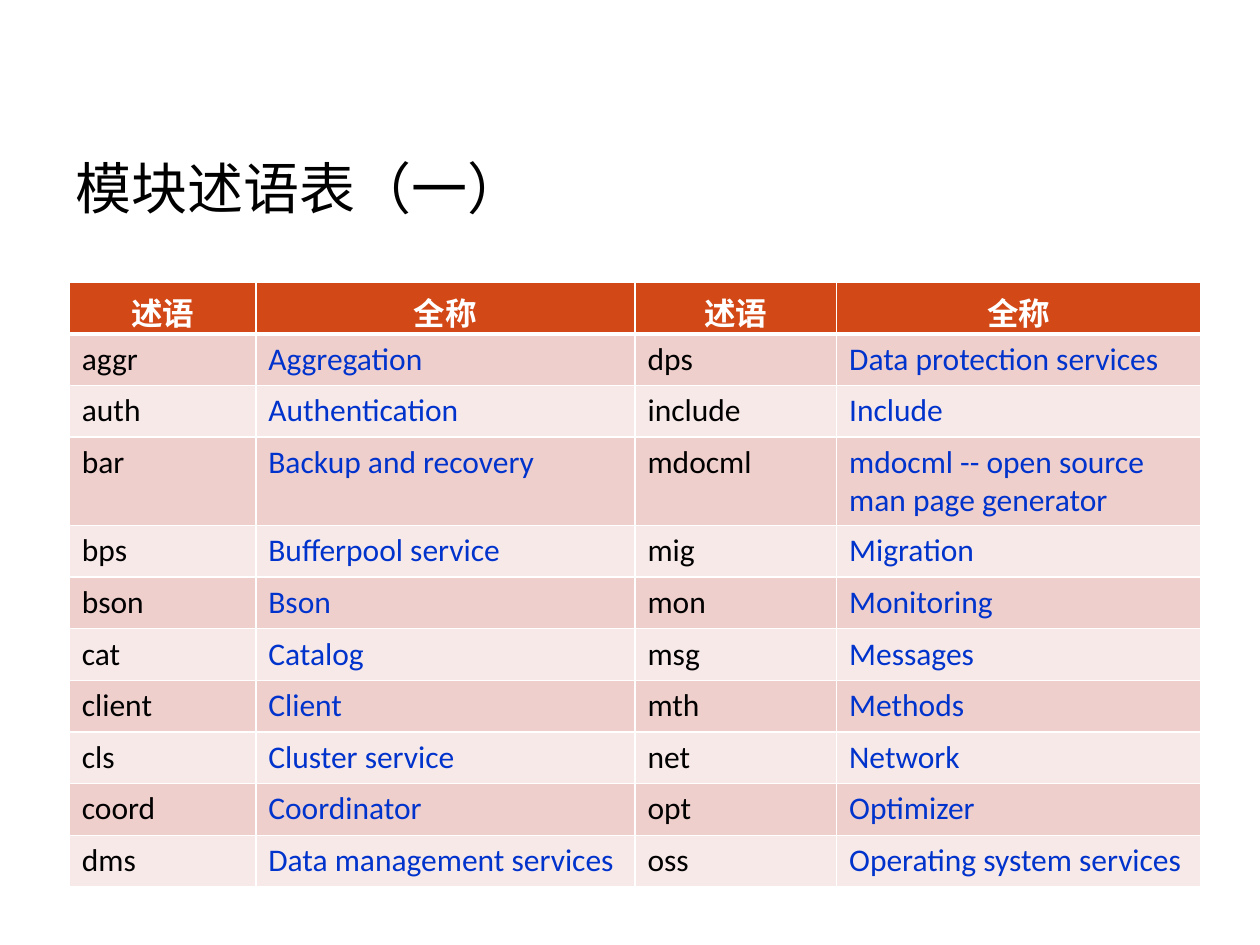
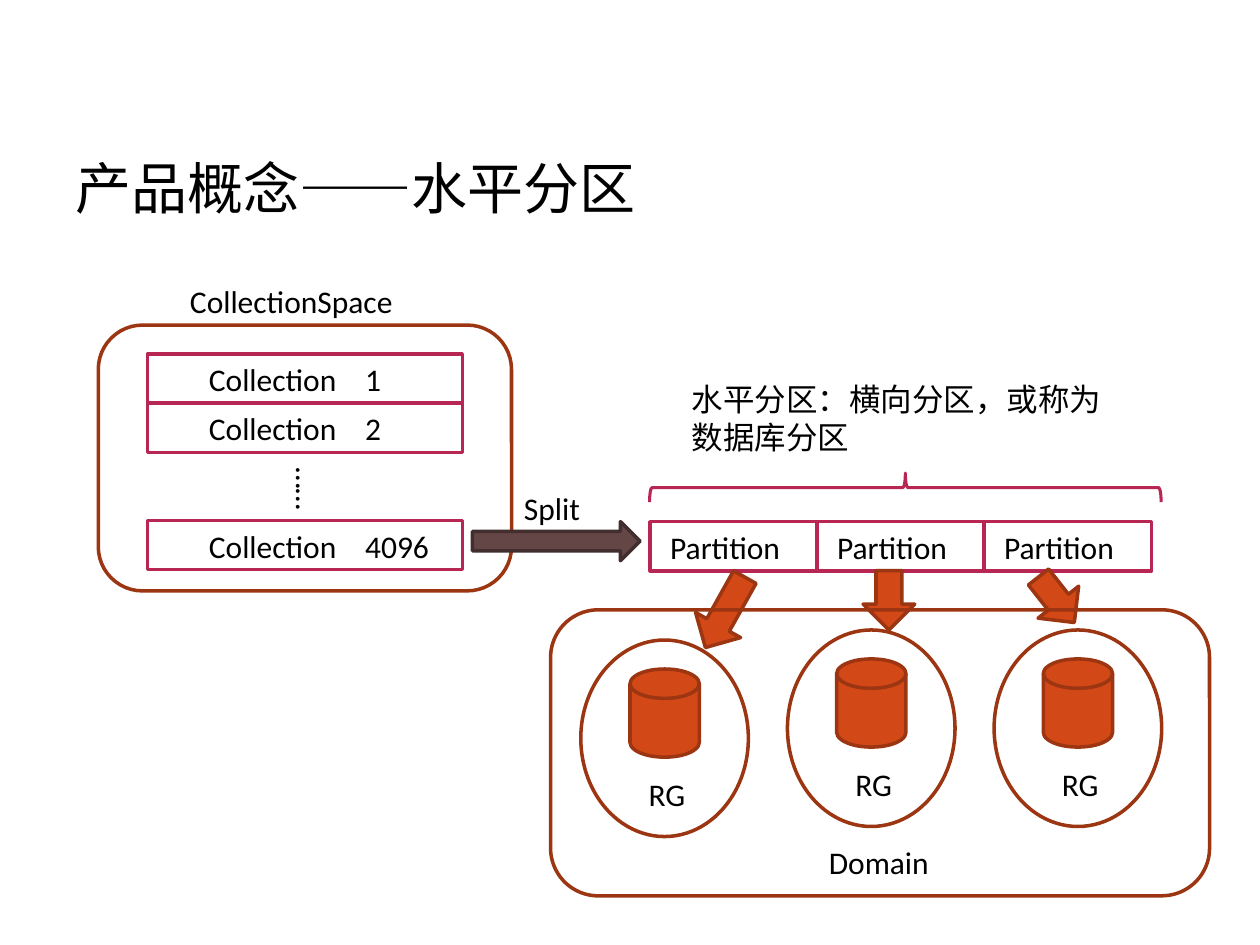
from pptx import Presentation
from pptx.dml.color import RGBColor
from pptx.enum.shapes import MSO_SHAPE as Preset
from pptx.enum.text import MSO_ANCHOR as Anchor, MSO_AUTO_SIZE as AutoSize, PP_ALIGN as Align
from pptx.oxml import parse_xml
from pptx.oxml.ns import nsdecls
from pptx.util import Inches, Pt

COLORS = {
    "black": "000000", "white": "FFFFFF", "blue": "0033CC",
    "orange": "D34817", "rust": "9C3511", "magenta": "B82653",
    "brown": "644646", "dark_brown": "422E2E",
    "band_dark": "EFCFCC", "band_light": "F7E9E8",
}
TITLE_FONT, BODY_FONT = "Roboto", "Calibri"
COLUMN_WIDTHS = [1.48, 3.01, 1.6, 2.89]
ROW_HEIGHT = 0.41
LABEL_HEIGHT = 0.4
CELL_HEIGHT = 0.39
TERMS = [
    ("述语", "全称", "述语", "全称"),
    ("aggr", "Aggregation", "dps", "Data protection services"),
    ("auth", "Authentication", "include", "Include"),
    ("bar", "Backup and recovery", "mdocml", "mdocml -- open source man page generator"),
    ("bps", "Bufferpool service", "mig", "Migration"),
    ("bson", "Bson", "mon", "Monitoring"),
    ("cat", "Catalog", "msg", "Messages"),
    ("client", "Client", "mth", "Methods"),
    ("cls", "Cluster service", "net", "Network"),
    ("coord", "Coordinator", "opt", "Optimizer"),
    ("dms", "Data management services", "oss", "Operating system services"),
]


def color(name):
    """Return the named colour."""
    return RGBColor.from_string(COLORS[name])


def add_span(para, text, size=18, font=BODY_FONT, ink="black", bold=False):
    """Add one styled run to a paragraph."""
    span = para.add_run()
    span.text = text
    span.font.name = font
    span.font.size = Pt(size)
    span.font.bold = bold
    span.font.color.rgb = color(ink)


def add_title(page, text):
    """Add the slide title."""
    box = page.shapes.add_textbox(Inches(0.5), Inches(0.86), Inches(9), Inches(1.25))
    box.text_frame.word_wrap = True
    box.text_frame.vertical_anchor = Anchor.MIDDLE
    add_span(box.text_frame.paragraphs[0], text, 32, TITLE_FONT)


def add_label(shapes, lines, left, top, width, height=LABEL_HEIGHT):
    """Add a text box with one paragraph per line."""
    box = shapes.add_textbox(Inches(left), Inches(top), Inches(width), Inches(height))
    frame = box.text_frame
    frame.word_wrap = False
    frame.auto_size = AutoSize.SHAPE_TO_FIT_TEXT
    for index, line in enumerate(lines):
        para = frame.add_paragraph() if index else frame.paragraphs[0]
        add_span(para, line)
    return box


def add_figure(shapes, preset, left, top, width, height, line, fill=None, turn=0, weight=2):
    """Add an outlined preset shape, filled when a fill is named."""
    figure = shapes.add_shape(preset, Inches(left), Inches(top), Inches(width), Inches(height))
    figure.shadow.inherit = False
    figure.rotation = turn
    figure.line.color.rgb = color(line)
    figure.line.width = Pt(weight)
    if fill:
        figure.fill.solid()
        figure.fill.fore_color.rgb = color(fill)
    else:
        figure.fill.background()


def add_collection(page, number, top):
    """Add a collection row whose number stands at a tab stop."""
    shapes = page.shapes.add_group_shape().shapes
    add_figure(shapes, Preset.RECTANGLE, 1.17, top, 2.5, CELL_HEIGHT, "magenta")
    box = add_label(shapes, [], 1.56, top, 1.97)
    box.text_frame.word_wrap = True
    para = box.text_frame.paragraphs[0]
    stops = f'<a:tabLst {nsdecls("a")}><a:tab pos="{Inches(1.24)}" algn="l"/></a:tabLst>'
    para._p.get_or_add_pPr().append(parse_xml(stops))
    add_span(para, f"Collection\t{number}")


def add_partition(page, left):
    """Add one partition cell."""
    shapes = page.shapes.add_group_shape().shapes
    add_figure(shapes, Preset.RECTANGLE, left, 4.14, 1.33, CELL_HEIGHT, "magenta")
    add_label(shapes, ["Partition"], left + 0.06, 4.14, 1.09)


def add_replica_group(page, left, top):
    """Add an RG ellipse holding a disk and its label."""
    shapes = page.shapes.add_group_shape().shapes
    add_figure(shapes, Preset.FLOWCHART_MAGNETIC_DISK, left + 0.39, top + 0.23, 0.55, 0.7,
               "rust", "orange")
    add_figure(shapes, Preset.OVAL, left, top, 1.33, 1.56, "rust")
    add_label(shapes, ["RG"], left + 0.44, top + 1.02, 0.5)


def add_cell_borders(cell, row):
    """Draw white borders, thicker under the header row."""
    weights = {"L": 1, "R": 1, "T": 3 if row == 1 else 1, "B": 3 if row == 0 else 1}
    for side, weight in weights.items():
        cell._tc.get_or_add_tcPr().append(parse_xml(
            f'<a:ln{side} {nsdecls("a")} w="{Pt(weight)}"><a:solidFill>'
            f'<a:srgbClr val="{COLORS["white"]}"/></a:solidFill></a:ln{side}>'))


def add_term_table(page):
    """Add the banded table of module terms."""
    table = page.shapes.add_table(
        len(TERMS), len(COLUMN_WIDTHS), Inches(0.55), Inches(2.24),
        Inches(sum(COLUMN_WIDTHS)), Inches(ROW_HEIGHT * len(TERMS))).table
    for column, width in zip(table.columns, COLUMN_WIDTHS):
        column.width = Inches(width)
    for row, terms in enumerate(TERMS):
        table.rows[row].height = Inches(ROW_HEIGHT)
        header = row == 0
        band = "orange" if header else ("band_light", "band_dark")[row % 2]
        for column, term in enumerate(terms):
            cell = table.cell(row, column)
            add_cell_borders(cell, row)
            cell.fill.solid()
            cell.fill.fore_color.rgb = color(band)
            para = cell.text_frame.paragraphs[0]
            para.alignment = Align.CENTER if header else Align.LEFT
            ink = "white" if header else ("black", "blue")[column % 2]
            add_span(para, term, ink=ink, bold=header)


def add_partition_diagram(page):
    """Add the diagram that splits a collection over replica groups."""
    shapes = page.shapes
    add_figure(shapes, Preset.ROUNDED_RECTANGLE, 0.78, 2.58, 3.28, 2.11, "rust")
    add_label(shapes, ["CollectionSpace"], 1.41, 2.19, 1.83)
    for number, top in ((1, 2.81), (2, 3.2), (4096, 4.13)):
        add_collection(page, number, top)
    dots = add_label(shapes, ["……"], 2.15, 3.61, 0.5, 0.45)
    dots.element.txBody.bodyPr.set("vert", "eaVert")

    for index in range(3):
        add_partition(page, 5.16 + 1.325 * index)
    for index, top in enumerate((5.08, 5, 5)):
        add_replica_group(page, 4.61 + 1.64 * index, top)
    for left, top, height, turn in ((5.55, 4.54, 0.64, 29.2), (6.85, 4.53, 0.47, 0),
                                    (8.18, 4.53, 0.46, 321.8)):
        add_figure(shapes, Preset.DOWN_ARROW, left, top, 0.41, height, "rust", "orange", turn)
    add_figure(shapes, Preset.ROUNDED_RECTANGLE, 4.37, 4.84, 5.23, 2.27, "rust")
    add_label(shapes, ["Domain"], 6.48, 6.64, 1)

    add_figure(shapes, Preset.RIGHT_ARROW, 3.75, 4.14, 1.33, 0.31, "dark_brown", "brown")
    add_label(shapes, ["Split"], 4.06, 3.83, 0.65)
    add_figure(shapes, Preset.LEFT_BRACE, 7.07, 1.84, 0.23, 4.06, "magenta", turn=90, weight=1.75)
    add_label(shapes, ["水平分区：横向分区，或称为", "数据库分区"], 5.39, 2.97, 3.48, 0.71)


def main():
    """Build and save the deck."""
    deck = Presentation()
    deck.slide_width, deck.slide_height = Inches(10), Inches(7.5)
    for title, add_content in (("模块述语表（一）", add_term_table),
                               ("产品概念——水平分区", add_partition_diagram)):
        page = deck.slides.add_slide(deck.slide_layouts[6])
        add_title(page, title)
        add_content(page)
    deck.save("out.pptx")


if __name__ == "__main__":
    main()
